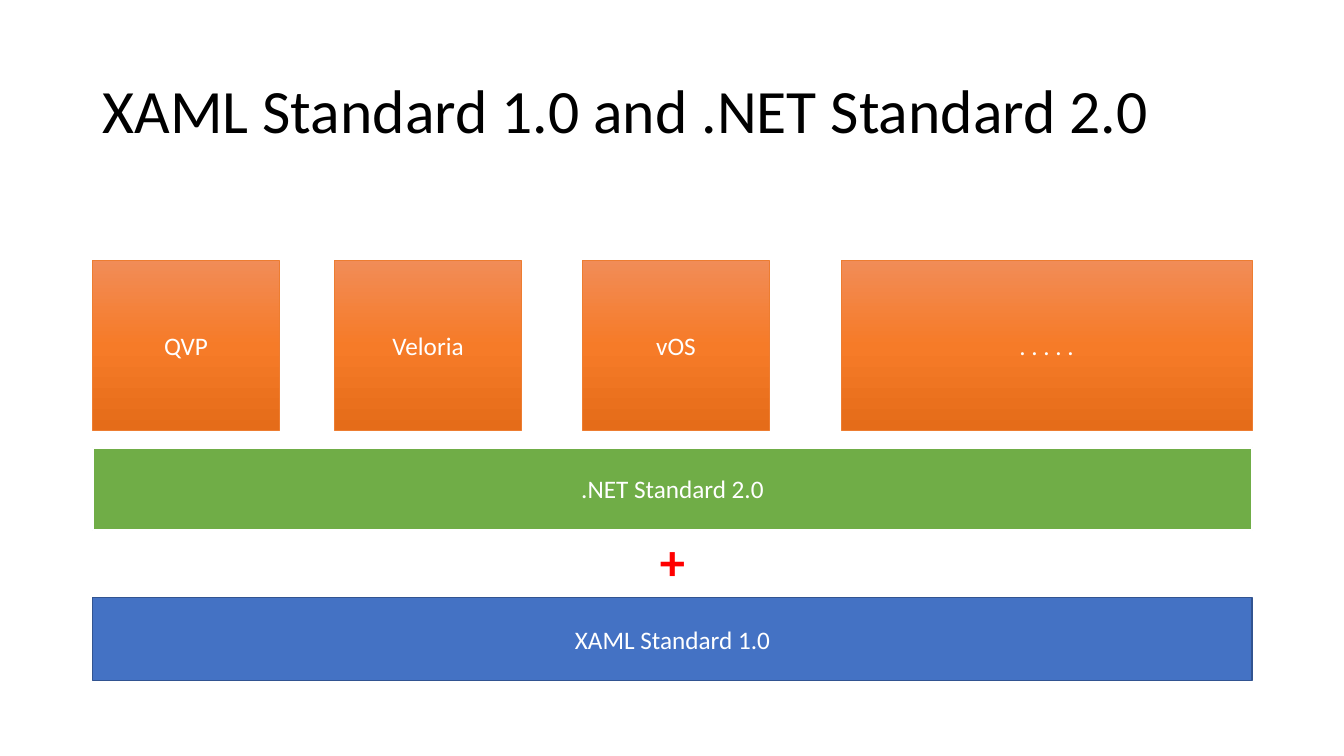
from copy import deepcopy

from pptx import Presentation
from pptx.dml.color import RGBColor
from pptx.enum.shapes import MSO_SHAPE
from pptx.enum.text import MSO_ANCHOR, PP_ALIGN
from pptx.oxml.ns import qn
from pptx.util import Inches, Pt

FONT = "Calibri"
LEFT, WIDTH = 0.92, 11.5
ORANGE_STOPS = [(0, "F18C57"), (0.5, "F67B28"), (1, "E56C19")]


def rgb(value):
    return RGBColor.from_string(value)


def write(shape, text, size, color, align, bold=False):
    tf = shape.text_frame
    tf.word_wrap = True
    tf.vertical_anchor = MSO_ANCHOR.MIDDLE
    p = tf.paragraphs[0]
    p.alignment = align
    r = p.add_run()
    r.text = text
    r.font.name = FONT
    r.font.size = Pt(size)
    r.font.bold = bold
    r.font.color.rgb = rgb(color)
    return p


def fill_gradient(shape, stops):
    """Fill from top to bottom through three (position, colour) stops."""
    shape.fill.gradient()
    shape.fill.gradient_angle = 270
    stop_list = shape._element.spPr.find(qn("a:gradFill")).find(qn("a:gsLst"))
    stop_list.insert(1, deepcopy(stop_list[0]))
    for stop, (position, color) in zip(shape.fill.gradient_stops, stops):
        stop.position = position
        stop.color.rgb = rgb(color)


def add_block(s, box, text, fill, line, line_width,
              size=18, color="FFFFFF", bold=False):
    """Add a labelled rectangle; fill is a colour or a list of stops."""
    sp = s.shapes.add_shape(MSO_SHAPE.RECTANGLE, *map(Inches, box))
    sp.shadow.inherit = False
    if isinstance(fill, str):
        sp.fill.solid()
        sp.fill.fore_color.rgb = rgb(fill)
    else:
        fill_gradient(sp, fill)
    sp.line.color.rgb = rgb(line)
    sp.line.width = Pt(line_width)
    write(sp, text, size, color, PP_ALIGN.CENTER, bold)


def add_title(s, box, text):
    title = s.shapes.add_textbox(*map(Inches, box))
    p = write(title, text, 44, "000000", PP_ALIGN.LEFT)
    p.line_spacing = 0.9


def add_platforms(s, box):
    left, top, _, height = box
    platforms = [
        ("QVP", 0, 1.85),
        ("Veloria", 2.4, 1.85),
        ("vOS", 4.86, 1.85),
        (". . . . .", 7.42, 4.08),
    ]
    for name, offset, width in platforms:
        add_block(s, (left + offset, top, width, height), name,
                  ORANGE_STOPS, "ED7D31", 0.5)


def add_standards(s, box):
    """Stack the two standards with a plus sign between them."""
    left, top, width, height = box
    bar = 0.82
    plus_width = 0.51
    add_block(s, (left, top + height - bar, width, bar),
              "XAML Standard 1.0", "4472C4", "325491", 1)
    add_block(s, (left, top, width, bar),
              ".NET Standard 2.0", "70AD47", "FFFFFF", 1.5)
    add_block(s, (left + (width - plus_width) / 2, top + bar, plus_width, 0.59),
              "+", "FFFFFF", "FFFFFF", 1, size=36, color="FF0000", bold=True)


def main():
    prs = Presentation()
    prs.slide_width = Inches(13.33)
    prs.slide_height = Inches(7.5)
    s = prs.slides.add_slide(prs.slide_layouts[6])
    add_title(s, (LEFT, 0.4, WIDTH, 1.45),
              "XAML Standard 1.0 and .NET Standard 2.0")
    add_platforms(s, (LEFT, 2.58, WIDTH, 1.69))
    add_standards(s, (LEFT, 4.44, WIDTH, 2.31))
    prs.save("out.pptx")


if __name__ == "__main__":
    main()
